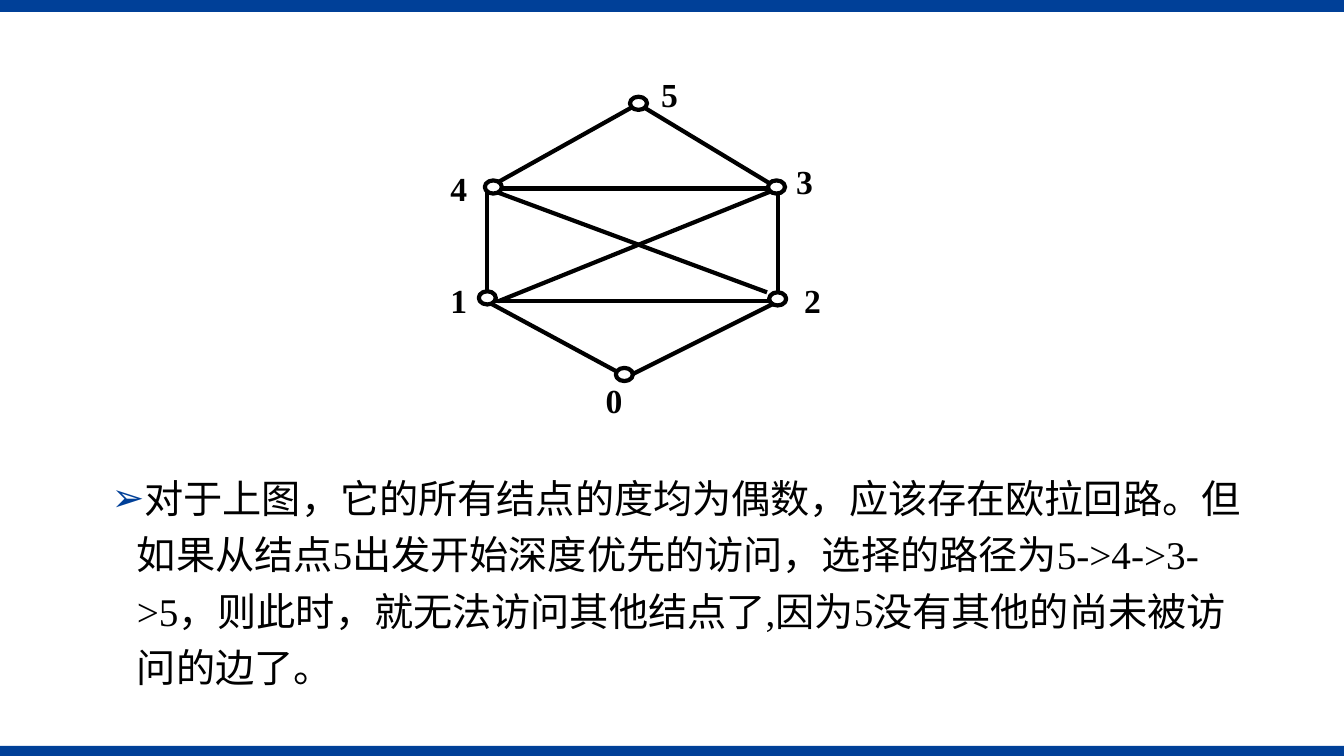
"""Build a slide showing a graph and a note on its Euler circuit."""
import pptx
import pptx.util
import pptx.dml.color
import pptx.enum.shapes
import pptx.enum.text
import pptx.oxml
import pptx.oxml.ns

Pt = pptx.util.Pt
SHAPES = pptx.enum.shapes.MSO_SHAPE
COLORS = {"bar": "004098", "ink": "000000", "node": "FFFFFF"}
FONT = "Times New Roman"
WIDTH, HEIGHT = 960, 540
BARS = [(532.8, 7.2), (0, 8.6)]
NOTE = ("对于上图，它的所有结点的度均为偶数，应该存在欧拉回路。但如果从结点5出发开始深度优先的访问，"
        "选择的路径为5->4->3->5，则此时，就无法访问其他结点了,因为5没有其他的尚未被访问的边了。")
NOTE_BOX = (72.7, 328.3, 834.5, 166.3)

LEFT, RIGHT, TOP, BOTTOM = 347.8, 555.8, 134.6, 215.3
APEX, BASE = (455.8, 74.2), (447.8, 269.3)
EDGES = [
    ((RIGHT, TOP), (355.7, BOTTOM)),
    ((LEFT, TOP), (547.9, 208.8)),
    ((LEFT, TOP), APEX),
    (APEX, (RIGHT, TOP)),
    ((LEFT, BOTTOM), BASE),
    ((RIGHT, BOTTOM), BASE),
]
NODE_SIZE = (12.2, 9.4)
LABEL_SIZE = (31, 37.4)
NODES = {
    "0": {"node": (439.9, 262.8), "label": (425.5, 267.8)},
    "1": {"node": (342, 208.1), "label": (314.6, 196.6)},
    "2": {"node": (549.4, 208.8), "label": (567.4, 196.6)},
    "3": {"node": (548.6, 128.9), "label": (561.6, 111.6)},
    "4": {"node": (346.3, 128.9), "label": (314.6, 116.6)},
    "5": {"node": (450, 69.1), "label": (465.1, 49)},
}


def rgb(name):
    return pptx.dml.color.RGBColor.from_string(COLORS[name])


def add_shape(s, kind, box, fill=None, line=None):
    sp = s.shapes.add_shape(kind, *map(Pt, box))
    sp.shadow.inherit = False
    if fill:
        sp.fill.solid()
        sp.fill.fore_color.rgb = rgb(fill)
    else:
        sp.fill.background()
    if line:
        sp.line.color.rgb = rgb(line)
        sp.line.width = Pt(3)
    else:
        sp.line.fill.background()


def add_edge(s, start, end):
    sp = s.shapes.add_connector(pptx.enum.shapes.MSO_CONNECTOR.STRAIGHT, *map(Pt, start + end))
    sp.line.color.rgb = rgb("ink")
    sp.line.width = Pt(3)
    pptx.oxml.ns.qn("a:effectLst")
    sp._element.spPr.append(pptx.oxml.parse_xml(
        f'<a:effectLst {pptx.oxml.ns.nsdecls("a")}/>'))


def add_text(s, text, box, size, bold=False):
    tf = s.shapes.add_textbox(*map(Pt, box)).text_frame
    tf.word_wrap = True
    tf.text = text
    p = tf.paragraphs[0]
    font = p.runs[0].font
    font.name, font.size, font.bold = FONT, Pt(size), bold
    font.color.rgb = rgb("ink")
    return p


def add_bullet(p):
    pPr = p._p.get_or_add_pPr()
    pPr.set("marL", str(Pt(18)))
    pPr.set("indent", str(-Pt(18)))
    ns = pptx.oxml.ns.nsdecls("a")
    for xml in (f'<a:buClr {ns}><a:srgbClr val="{COLORS["bar"]}"/></a:buClr>',
                f'<a:buFont {ns} typeface="Arial"/>',
                f'<a:buChar {ns} char="➢"/>'):
        pPr.append(pptx.oxml.parse_xml(xml))


def main():
    prs = pptx.Presentation()
    prs.slide_width, prs.slide_height = Pt(WIDTH), Pt(HEIGHT)
    s = prs.slides.add_slide(prs.slide_layouts[6])
    for top, height in BARS:
        add_shape(s, SHAPES.RECTANGLE, (0, top, WIDTH, height), fill="bar")
    add_shape(s, SHAPES.RECTANGLE, (LEFT, TOP, RIGHT - LEFT, BOTTOM - TOP), line="ink")
    for start, end in EDGES:
        add_edge(s, start, end)
    for name, place in NODES.items():
        p = add_text(s, name, place["label"] + LABEL_SIZE, 24, bold=True)
        p.alignment = pptx.enum.text.PP_ALIGN.JUSTIFY
    for place in NODES.values():
        add_shape(s, SHAPES.OVAL, place["node"] + NODE_SIZE, fill="node", line="ink")
    p = add_text(s, NOTE, NOTE_BOX, 28)
    p.line_spacing = 1.2
    p.space_before = Pt(10)
    add_bullet(p)
    prs.save("out.pptx")


if __name__ == "__main__":
    main()
